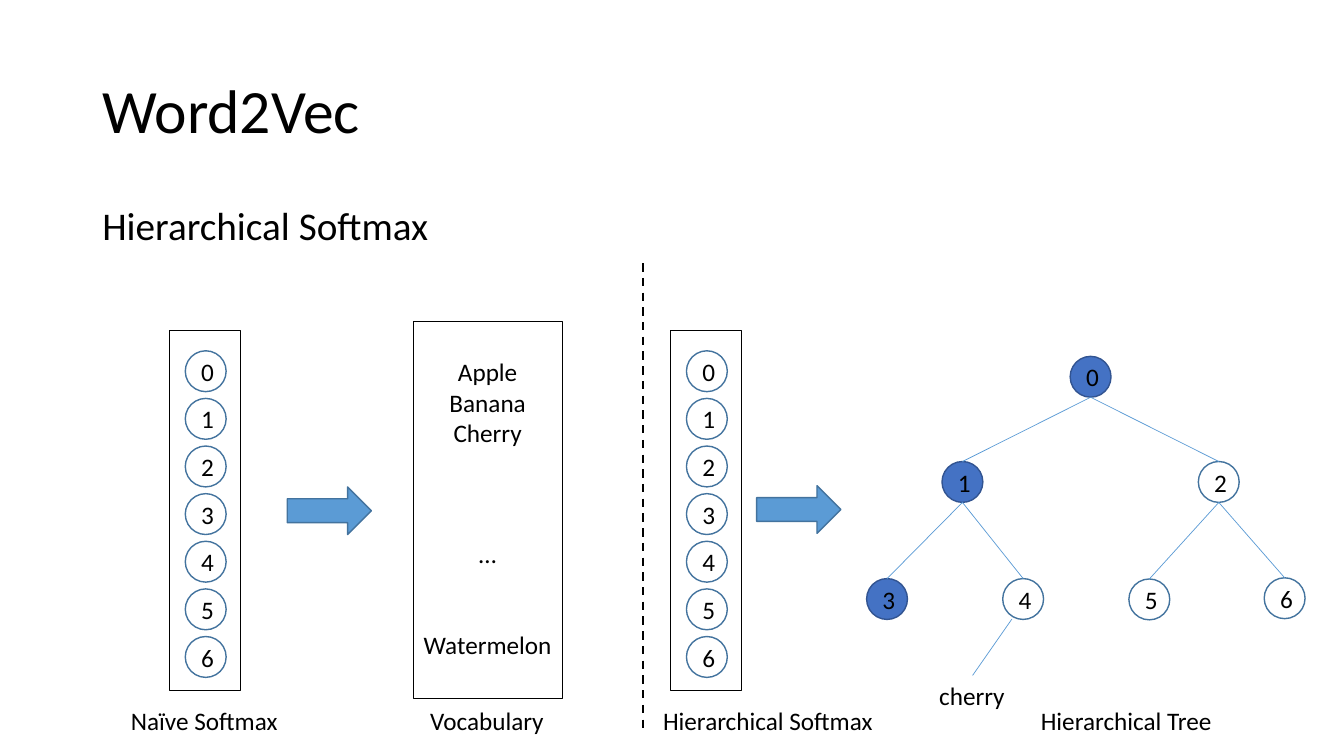
import pptx
import pptx.util
import pptx.dml.color
import pptx.enum.dml
import pptx.enum.shapes
import pptx.enum.text
import pptx.oxml
from dataclasses import dataclass
from pptx.util import Cm

SHAPE = pptx.enum.shapes.MSO_SHAPE
ANCHOR = pptx.enum.text.MSO_ANCHOR
ALIGN = pptx.enum.text.PP_ALIGN
FIT = pptx.enum.text.MSO_AUTO_SIZE


@dataclass(frozen=True)
class Theme:
    face: str = "Calibri"
    title: int = 44
    head: int = 28
    text: int = 18
    ink: str = "000000"
    blue: str = "5B9BD5"
    rim: str = "43739E"
    node: str = "4472C4"
    edge: str = "325491"


THEME = Theme()
SIZE = 1.03  # circle diameter in cm


def color(code):
    return pptx.dml.color.RGBColor.from_string(code)


def apply(target, values):
    for name, value in values.items():
        setattr(target, name, value)


def write(frame, lines, size, form):
    """Fill a frame with (text, space before) lines."""
    for i, (text, gap) in enumerate(lines):
        para = frame.paragraphs[0] if i == 0 else frame.add_paragraph()
        para.text = text
        if gap:
            para.space_before = pptx.util.Pt(gap)
        apply(para, form)
        apply(para.font, {"name": THEME.face, "size": pptx.util.Pt(size)})
        para.font.color.rgb = color(THEME.ink)


def label(slide, text, area, size=THEME.text, frame=None, form=None):
    box = slide.shapes.add_textbox(*map(Cm, area))
    apply(box.text_frame,
          frame or {"word_wrap": False, "auto_size": FIT.SHAPE_TO_FIT_TEXT})
    write(box.text_frame, [(text, 0)], size, form or {})
    return box


def figure(slide, kind, area, line, width=1, fill=None):
    item = slide.shapes.add_shape(kind, *map(Cm, area))
    item.shadow.inherit = False
    if fill:
        item.fill.solid()
        item.fill.fore_color.rgb = color(fill)
    else:
        item.fill.background()
    item.line.color.rgb = color(line)
    item.line.width = pptx.util.Pt(width)
    return item


def circle(slide, text, left, top, full=False):
    item = figure(slide, SHAPE.OVAL, (left, top, SIZE, SIZE),
                  THEME.edge if full else THEME.rim,
                  fill=THEME.node if full else None)
    item.text_frame.vertical_anchor = ANCHOR.MIDDLE
    write(item.text_frame, [(text, 0)], THEME.text, {"alignment": ALIGN.CENTER})
    return item


def rule(slide, start, end, code, width):
    line = slide.shapes.add_connector(
        pptx.enum.shapes.MSO_CONNECTOR.STRAIGHT, *start, *end)
    line.line.color.rgb = color(code)
    line.line.width = pptx.util.Pt(width)
    line._element.spPr.append(
        pptx.oxml.parse_xml('<a:effectLst xmlns:a='
                            '"http://schemas.openxmlformats.org/drawingml/2006/main"/>'))
    return line


def branch(slide, start, child):
    top = (child.left + child.width // 2, child.top)
    rule(slide, start, top, THEME.blue, 0.5).end_connect(child, 0)


def layer(slide, left):
    """Column of seven numbered units."""
    figure(slide, SHAPE.RECTANGLE, (left, 8.33, 1.78, 9.07), THEME.ink, 0.75)
    for i in range(7):
        circle(slide, str(i), left + 0.39, 8.84 + 1.2 * i)


def arrow(slide, left, top):
    figure(slide, SHAPE.RIGHT_ARROW, (left, top, 2.12, 1.2), THEME.rim,
           fill=THEME.blue)


def words(slide):
    """Box that lists the vocabulary."""
    box = figure(slide, SHAPE.RECTANGLE, (10.41, 8.1, 3.76, 9.5), THEME.ink, 0.75)
    apply(box.text_frame, {"word_wrap": False, "vertical_anchor": ANCHOR.TOP,
                           "margin_top": Cm(0.89)})
    lines = [("Apple", 0), ("Banana", 0), ("Cherry", 0), ("…", 65),
             ("Watermelon", 43)]
    write(box.text_frame, lines, THEME.text, {"alignment": ALIGN.CENTER})


def tree(slide):
    """Binary tree; the blue nodes lie on one path."""
    spots = [(26.97, 8.98), (23.74, 11.63), (30.2, 11.63), (21.84, 14.58),
             (25.27, 14.58), (28.45, 14.59), (31.86, 14.56)]
    nodes = [circle(slide, str(i), *spot, full=i in (0, 1, 3))
             for i, spot in enumerate(spots)]
    for i, child in enumerate(nodes[1:]):
        root = nodes[i // 2]
        foot = (root.left + root.width // 2, root.top + root.height)
        branch(slide, foot, child)
    leaf = label(slide, "cherry", (23.42, 17.02, 2.18, 1.02))
    branch(slide, (Cm(25.5), Cm(15.6)), leaf)


def main():
    deck = pptx.Presentation()
    apply(deck, {"slide_width": Cm(33.87), "slide_height": Cm(19.05)})
    slide = deck.slides.add_slide(deck.slide_layouts[6])

    # Headings
    tight = {"line_spacing": 0.9}
    label(slide, "Word2Vec", (2.33, 1.01, 29.21, 3.68), THEME.title,
          {"word_wrap": True, "vertical_anchor": ANCHOR.MIDDLE}, tight)
    label(slide, "Hierarchical Softmax", (2.33, 5.07, 29.21, 1.5), THEME.head,
          {"word_wrap": True}, tight)

    # Naive side
    layer(slide, 4.28)
    arrow(slide, 7.24, 12.27)
    words(slide)

    # Divider
    split = rule(slide, (Cm(16.21), Cm(6.63)), (Cm(16.21), Cm(18.42)),
                 THEME.ink, 1.5)
    split.line.dash_style = pptx.enum.dml.MSO_LINE.DASH

    # Hierarchical side
    layer(slide, 16.91)
    arrow(slide, 19.07, 12.24)
    tree(slide)

    # Captions
    for text, left, width in [("Naïve Softmax", 3.05, 4.27),
                              ("Vocabulary", 10.59, 3.4),
                              ("Hierarchical Softmax", 16.46, 5.87),
                              ("Hierarchical Tree", 25.98, 4.85)]:
        label(slide, text, (left, 17.64, width, 1.02))

    deck.save("out.pptx")


if __name__ == "__main__":
    main()
